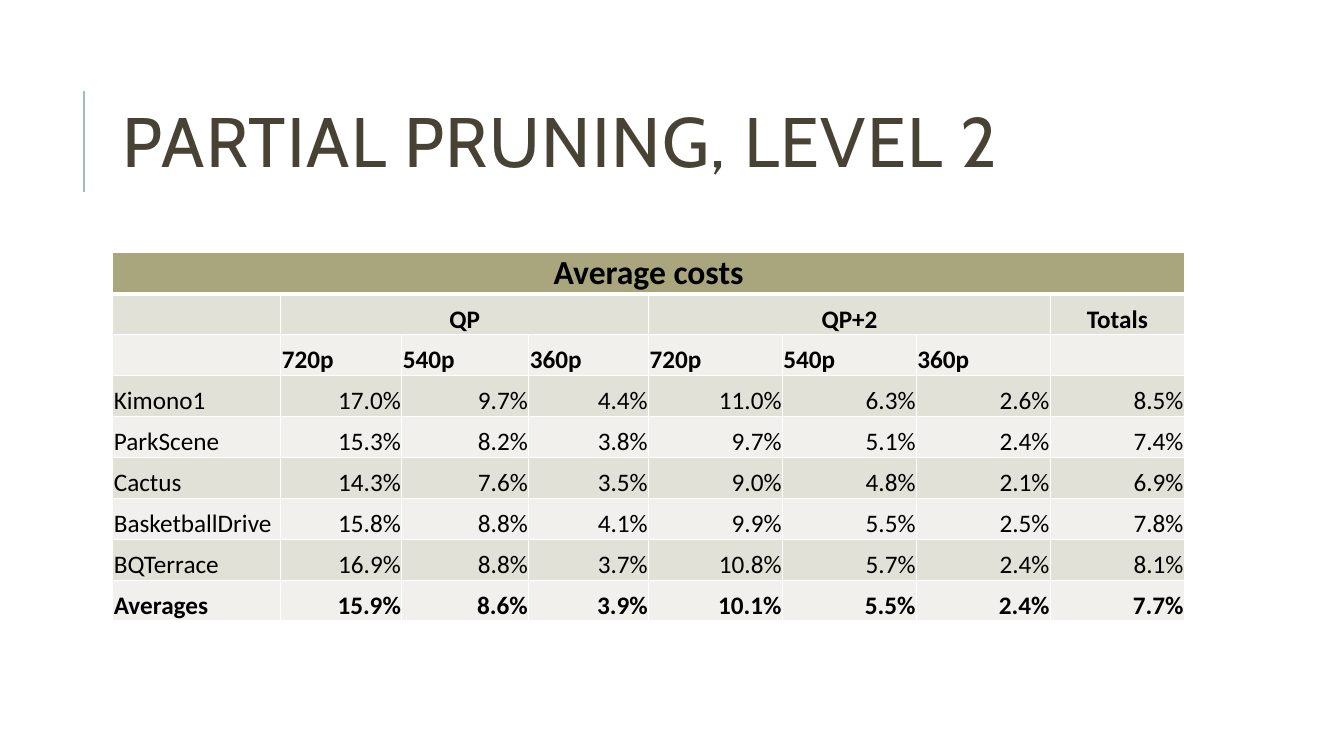
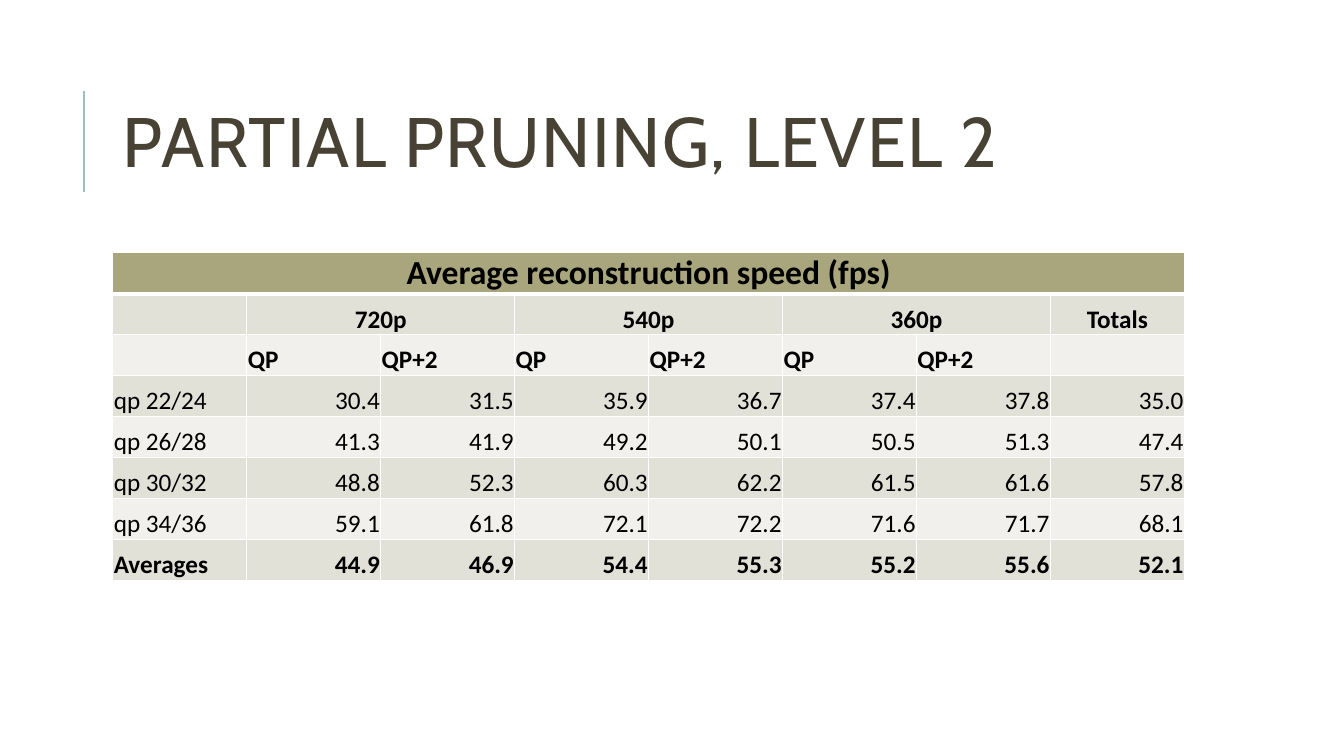
from lxml.etree import SubElement
from pptx import Presentation
from pptx.dml.color import RGBColor
from pptx.enum.shapes import MSO_CONNECTOR
from pptx.enum.text import MSO_ANCHOR, MSO_AUTO_SIZE, PP_ALIGN
from pptx.oxml.ns import qn
from pptx.util import Pt

WHITE = RGBColor(0xFF, 0xFF, 0xFF)
BLACK = RGBColor(0x00, 0x00, 0x00)
TEAL = RGBColor(0x9C, 0xBE, 0xBD)
BROWN = RGBColor(0x47, 0x42, 0x33)
OLIVE = RGBColor(0xA9, 0xA5, 0x7C)
BAND_DARK = RGBColor(0xE2, 0xE1, 0xD7)
BAND_LIGHT = RGBColor(0xF1, 0xF0, 0xEC)

TITLE = "PARTIAL PRUNING, LEVEL 2"
TITLE_BOX = (80.64, 46, 765.36, 118)
TABLE_BOX = (80.64, 180, 765.36)
ROW_HEIGHT = 29.2
COLUMNS = 8

COSTS = {
    "heading": "Average costs",
    "groups": [("QP", 3), ("QP+2", 3), ("Totals", 1)],
    "subheads": ["720p", "540p", "360p"] * 2,
    "rows": [
        ("Kimono1", "17.0% 9.7% 4.4% 11.0% 6.3% 2.6% 8.5%"),
        ("ParkScene", "15.3% 8.2% 3.8% 9.7% 5.1% 2.4% 7.4%"),
        ("Cactus", "14.3% 7.6% 3.5% 9.0% 4.8% 2.1% 6.9%"),
        ("BasketballDrive", "15.8% 8.8% 4.1% 9.9% 5.5% 2.5% 7.8%"),
        ("BQTerrace", "16.9% 8.8% 3.7% 10.8% 5.7% 2.4% 8.1%"),
        ("Averages", "15.9% 8.6% 3.9% 10.1% 5.5% 2.4% 7.7%"),
    ],
    "first_widths": [120, 86.4, 90.7, 85.6],
}

SPEEDS = {
    "heading": "Average reconstruction speed (fps)",
    "groups": [("720p", 2), ("540p", 2), ("360p", 2), ("Totals", 1)],
    "subheads": ["QP", "QP+2"] * 3,
    "rows": [
        ("qp 22/24", "30.4 31.5 35.9 36.7 37.4 37.8 35.0"),
        ("qp 26/28", "41.3 41.9 49.2 50.1 50.5 51.3 47.4"),
        ("qp 30/32", "48.8 52.3 60.3 62.2 61.5 61.6 57.8"),
        ("qp 34/36", "59.1 61.8 72.1 72.2 71.6 71.7 68.1"),
        ("Averages", "44.9 46.9 54.4 55.3 55.2 55.6 52.1"),
    ],
    "first_widths": [],
}


def write(tf, text, size=18, font="Calibri", color=BLACK, bold=False,
          align=PP_ALIGN.LEFT, line_spacing=None, tracking=None):
    p = tf.paragraphs[0]
    p.alignment = align
    p.line_spacing = line_spacing
    r = p.add_run()
    r.text = text
    r.font.size = Pt(size)
    r.font.name = font
    r.font.bold = bold
    r.font.color.rgb = color
    if tracking:
        r.font._element.set("spc", str(tracking * 100))


def add_title(s, box):
    left, top, width, height = box
    sp = s.shapes.title
    sp.left, sp.top, sp.width, sp.height = map(Pt, box)
    tf = sp.text_frame
    tf.word_wrap = True
    tf.auto_size = MSO_AUTO_SIZE.NONE
    tf.vertical_anchor = MSO_ANCHOR.MIDDLE
    write(tf, TITLE, size=50, font="Cabin", color=BROWN,
          line_spacing=0.8, tracking=1)
    x, middle = left - 20.64, top + height / 2 - 4.2
    rule = s.shapes.add_connector(MSO_CONNECTOR.STRAIGHT, Pt(x), Pt(middle + 36),
                                  Pt(x), Pt(middle - 36))
    rule.line.color.rgb = TEAL
    rule.line.width = Pt(1.5)
    SubElement(rule._element.spPr, qn("a:effectLst"))


def set_borders(cell, top, bottom):
    tcPr = cell._tc.get_or_add_tcPr()
    for side, width in (("L", 1), ("R", 1), ("T", top), ("B", bottom)):
        ln = SubElement(tcPr, qn(f"a:ln{side}"), w=str(Pt(width)))
        fill = SubElement(ln, qn("a:solidFill"))
        SubElement(fill, qn("a:srgbClr"), val=str(WHITE))


def format_cell(cell, row):
    set_borders(cell, top=3 if row == 1 else 1, bottom=3 if row == 0 else 1)
    cell.fill.solid()
    cell.fill.fore_color.rgb = (
        OLIVE if row == 0 else BAND_DARK if row % 2 else BAND_LIGHT)
    cell.vertical_anchor = MSO_ANCHOR.BOTTOM
    cell.margin_left = cell.margin_right = cell.margin_top = Pt(0.7)
    cell.margin_bottom = Pt(0)


def add_results(s, box, heading, groups, subheads, rows, first_widths):
    left, top, width = box
    count = len(rows) + 3
    table = s.shapes.add_table(count, COLUMNS, Pt(left), Pt(top), Pt(width),
                               Pt(ROW_HEIGHT * count)).table
    widths = first_widths + [width / COLUMNS] * (COLUMNS - len(first_widths))
    for column, column_width in zip(table.columns, widths):
        column.width = Pt(column_width)
    for i, row in enumerate(table.rows):
        row.height = Pt(ROW_HEIGHT)
        for cell in row.cells:
            format_cell(cell, i)

    def put(row, col, text, **fmt):
        write(table.cell(row, col).text_frame, text, **fmt)

    table.cell(0, 0).merge(table.cell(0, COLUMNS - 1))
    put(0, 0, heading, size=24, bold=True, align=PP_ALIGN.CENTER)
    col = 1
    for text, span in groups:
        if span > 1:
            table.cell(1, col).merge(table.cell(1, col + span - 1))
        put(1, col, text, bold=True, align=PP_ALIGN.CENTER)
        col += span
    for col, text in enumerate(subheads, 1):
        put(2, col, text, bold=True)
    for i, (label, values) in enumerate(rows, 3):
        bold = i == count - 1
        put(i, 0, label, bold=bold)
        for col, value in enumerate(values.split(), 1):
            put(i, col, value, bold=bold, align=PP_ALIGN.RIGHT)


def add_results_slide(prs, results):
    s = prs.slides.add_slide(prs.slide_layouts[5])
    add_title(s, TITLE_BOX)
    add_results(s, TABLE_BOX, **results)


def main():
    prs = Presentation()
    prs.slide_width, prs.slide_height = Pt(960), Pt(540)
    for results in (COSTS, SPEEDS):
        add_results_slide(prs, results)
    prs.save("out.pptx")


if __name__ == "__main__":
    main()
